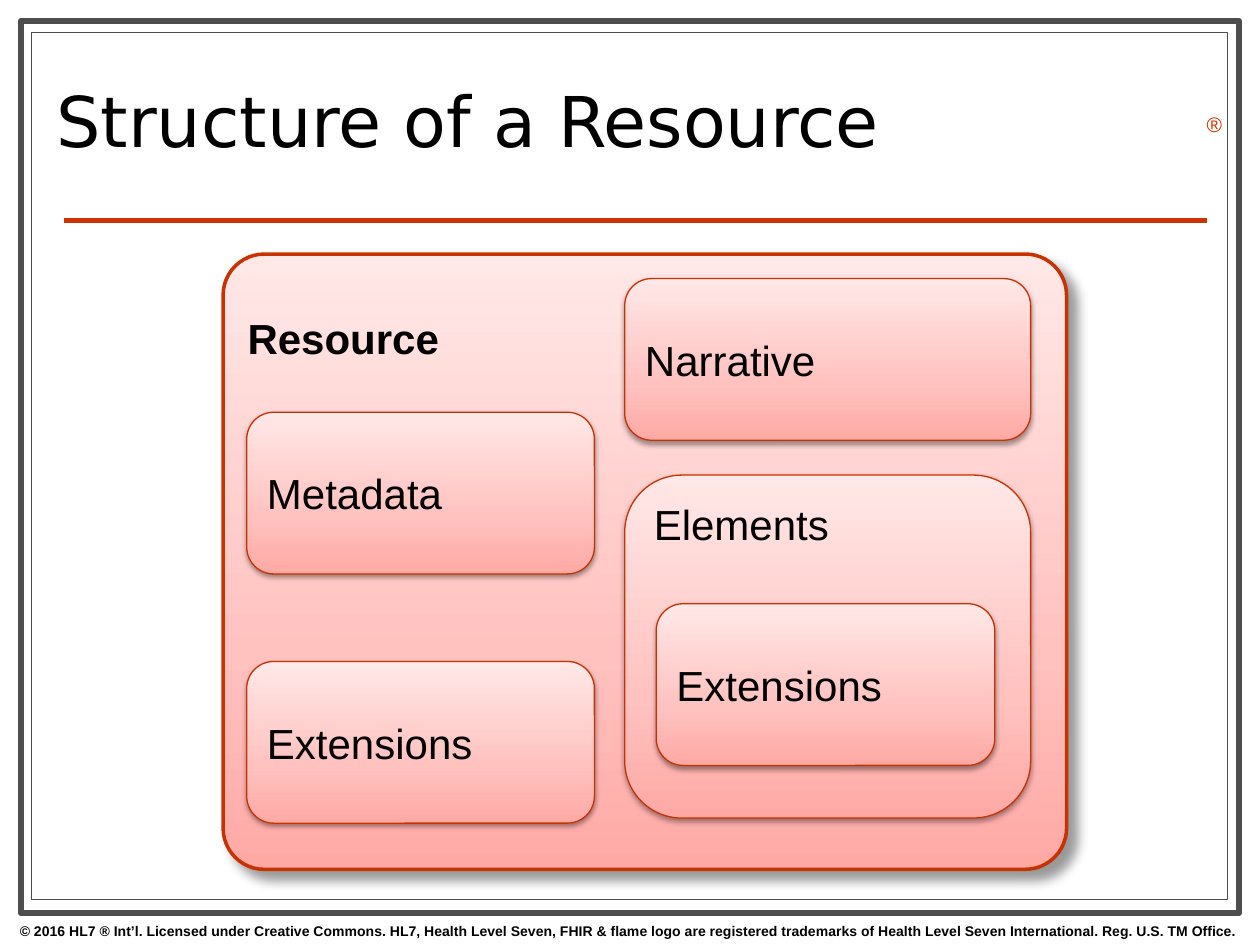
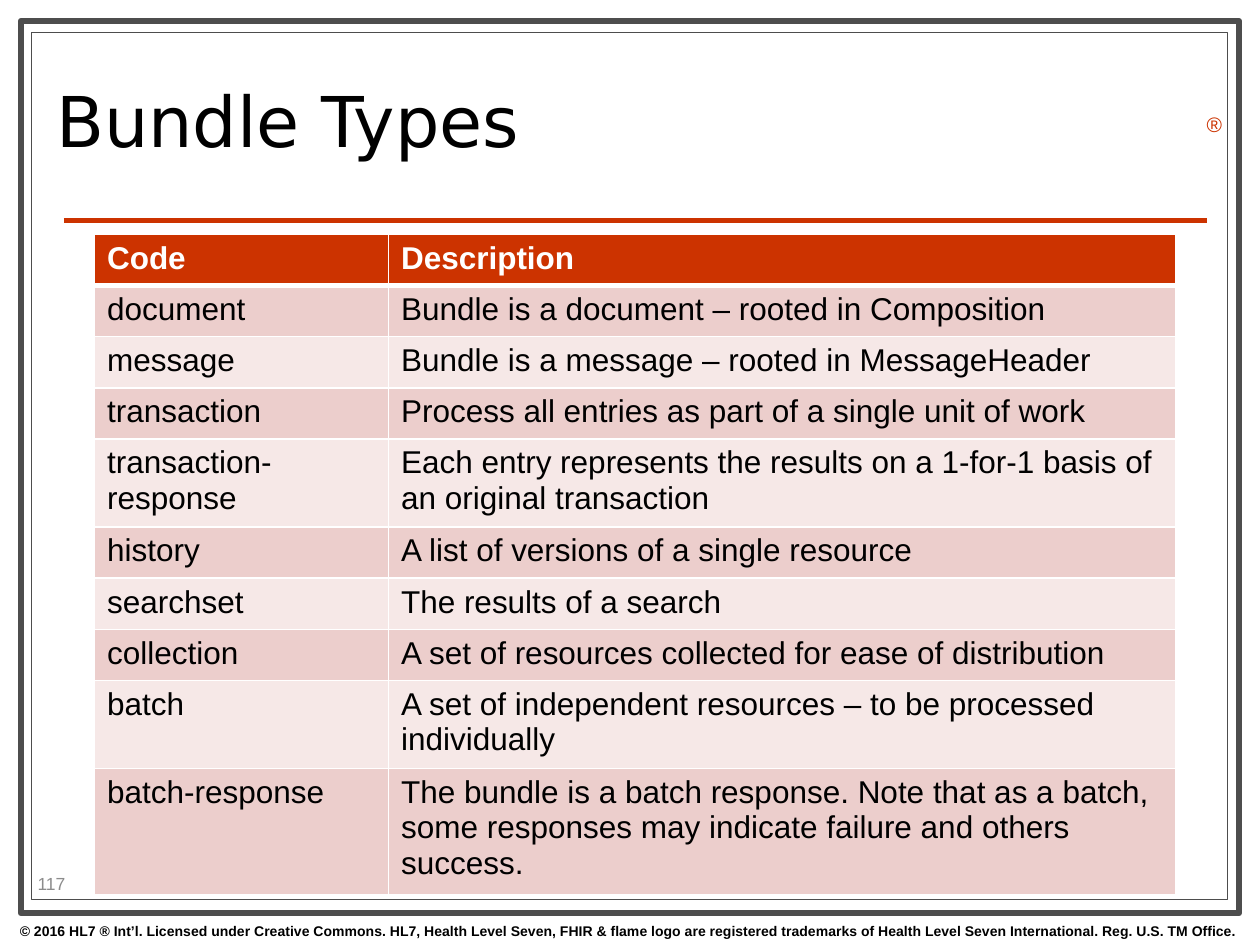
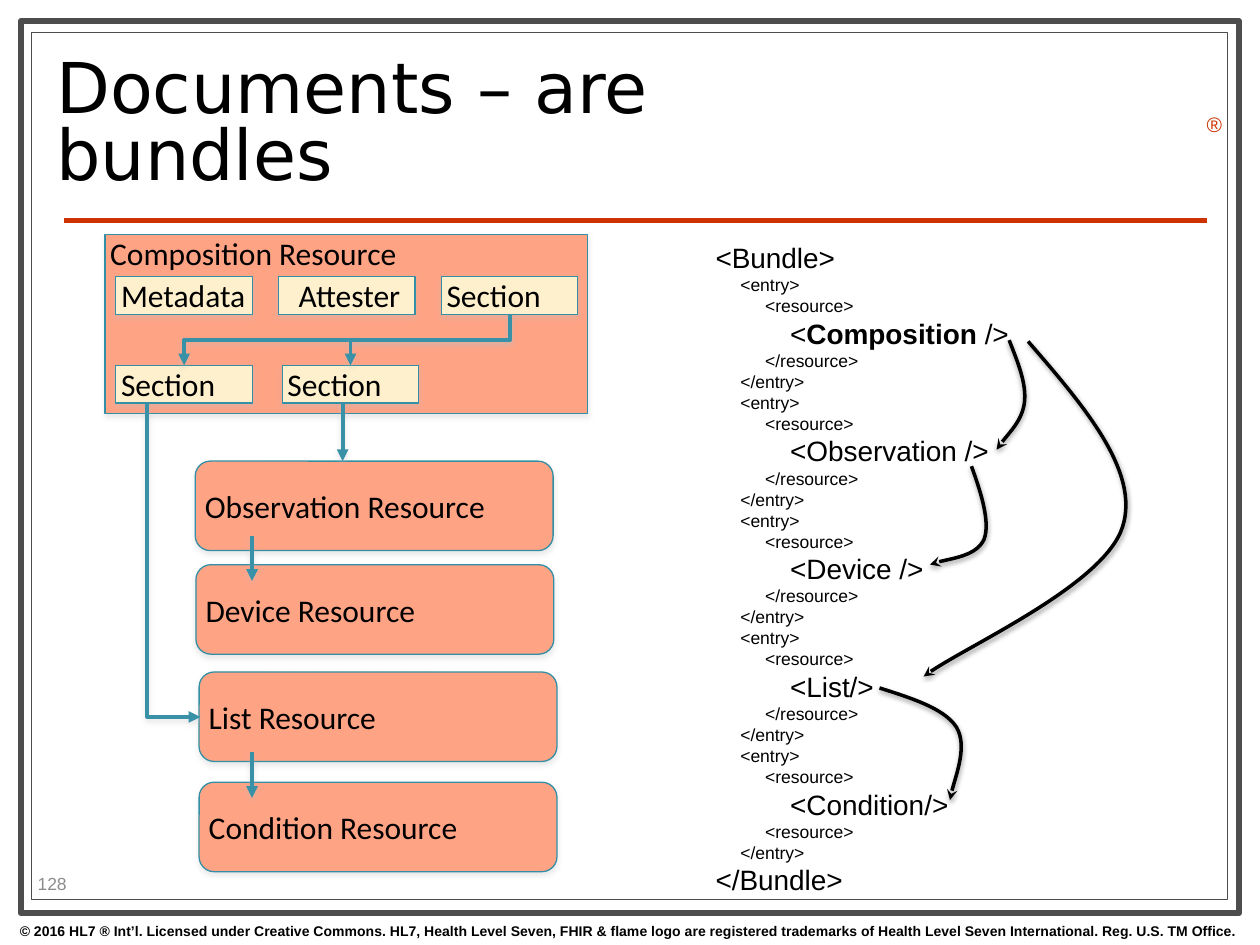
from copy import deepcopy
from dataclasses import dataclass
from typing import NamedTuple

from lxml import etree
from pptx import Presentation
from pptx.dml.color import RGBColor
from pptx.enum.shapes import MSO_CONNECTOR, MSO_SHAPE
from pptx.enum.text import MSO_ANCHOR, PP_ALIGN
from pptx.oxml.ns import qn
from pptx.util import Pt

COLORS = {
    "white": "FFFFFF", "black": "000000", "frame": "4D4D4D", "accent": "CC3300",
    "page": "8C8C8C", "panel_line": "C83200", "band_dark": "ECCECC",
    "band_light": "F6E8E7", "resource": "FFA385", "part": "FEF0CD",
    "box_line": "338FA5", "arrow": "3891A7", "gray": "C0C0C0",
    "pink_deep": "FFA9A5", "pink_mid": "FFC2BF", "pink_pale": "FFE8E7",
}
PANEL_GRADIENT = [(0, "pink_deep"), (0.35, "pink_mid"), (1, "pink_pale")]
COPYRIGHT = ("© 2016 HL7 ® Int’l. Licensed under Creative Commons. HL7, Health Level Seven, "
             "FHIR & flame logo are registered trademarks of Health Level Seven International. "
             "Reg. U.S. TM Office.")


class Area(NamedTuple):
    left: float
    top: float
    width: float
    height: float


class TextStyle(NamedTuple):
    size: float
    font: str = "Arial"
    color: str = "black"
    bold: bool = False


class Shadow(NamedTuple):
    color: str
    alpha: int
    blur: float
    distance: float
    angle: int


class Stroke(NamedTuple):
    color: str
    width: float
    head: str | None = None
    shadow: Shadow | None = None


@dataclass
class Box:
    text: str
    area: Area
    preset: MSO_SHAPE
    fill: str
    stroke: Stroke
    style: TextStyle
    anchor: MSO_ANCHOR = MSO_ANCHOR.TOP
    alignment: PP_ALIGN = PP_ALIGN.LEFT
    insets: tuple = (7.2, 3.6, 7.2, 3.6)
    adjustment: float | None = None


SOFT_SHADOW = Shadow("black", 38, 3.1, 1.6, 90)
ARROW_SHADOW = Shadow("gray", 38, 3, 1.6, 90)
FLOW_ARROW = Stroke("arrow", 2.25, "triangle", ARROW_SHADOW)
REFERENCE_ARROW = Stroke("black", 2, "stealth", SOFT_SHADOW)
PANEL_STROKE = Stroke("panel_line", 0.75, None, SOFT_SHADOW)
BOX_STROKE = Stroke("box_line", 0.75, None, Shadow("gray", 35, 3, 1.8, 90))
PANEL_TEXT = TextStyle(24)
BOX_TEXT = TextStyle(18, "Calibri")


def rgb(name: str) -> RGBColor:
    return RGBColor.from_string(COLORS[name])


def points(values) -> list:
    return [Pt(value) for value in values]


def add_color(parent, name: str):
    return etree.SubElement(parent, qn("a:srgbClr"), val=COLORS[name])


def format_runs(paragraph, style: TextStyle) -> None:
    for run in paragraph.runs:
        run.font.size = Pt(style.size)
        run.font.name = style.font
        run.font.bold = style.bold
        run.font.color.rgb = rgb(style.color)


def apply_stroke(shape, stroke: Stroke) -> None:
    """Set line, arrowhead and shadow; the fill must be set before."""
    shape.line.color.rgb = rgb(stroke.color)
    shape.line.width = Pt(stroke.width)
    properties = shape.element.spPr
    if stroke.head:
        etree.SubElement(properties.find(qn("a:ln")), qn("a:tailEnd"), type=stroke.head)
    effects = etree.SubElement(properties, qn("a:effectLst"))
    if stroke.shadow:
        shadow = stroke.shadow
        outer = etree.SubElement(
            effects, qn("a:outerShdw"), blurRad=str(Pt(shadow.blur)),
            dist=str(Pt(shadow.distance)), dir=str(shadow.angle * 60000), rotWithShape="0")
        etree.SubElement(add_color(outer, shadow.color), qn("a:alpha"),
                         val=str(shadow.alpha * 1000))


def apply_panel_gradient(shape) -> None:
    shape.fill.gradient()
    shape.fill.gradient_angle = 90
    stop_list = shape.element.spPr.find(qn("a:gradFill")).find(qn("a:gsLst"))
    stop_list.append(deepcopy(stop_list[0]))
    for stop, (position, color) in zip(shape.fill.gradient_stops, PANEL_GRADIENT):
        stop.position = position
        stop.color.rgb = rgb(color)


def draw_box(slide, box: Box):
    shape = slide.shapes.add_shape(box.preset, *points(box.area))
    if box.adjustment is not None:
        shape.adjustments[0] = box.adjustment
    if box.fill == "gradient":
        apply_panel_gradient(shape)
    else:
        shape.fill.solid()
        shape.fill.fore_color.rgb = rgb(box.fill)
    apply_stroke(shape, box.stroke)
    frame = shape.text_frame
    frame.text = box.text
    frame.word_wrap = True
    frame.vertical_anchor = box.anchor
    (frame.margin_left, frame.margin_top,
     frame.margin_right, frame.margin_bottom) = points(box.insets)
    frame.paragraphs[0].alignment = box.alignment
    format_runs(frame.paragraphs[0], box.style)
    return shape


def draw_text(slide, text: str, area: Area, style: TextStyle,
              alignment=PP_ALIGN.LEFT, anchor=MSO_ANCHOR.TOP):
    shape = slide.shapes.add_textbox(*points(area))
    frame = shape.text_frame
    frame.text = text
    frame.word_wrap = True
    frame.vertical_anchor = anchor
    frame.paragraphs[0].alignment = alignment
    format_runs(frame.paragraphs[0], style)
    return shape


def draw_line(slide, start: tuple, end: tuple, stroke: Stroke):
    connector = slide.shapes.add_connector(MSO_CONNECTOR.STRAIGHT, *points(start + end))
    apply_stroke(connector, stroke)
    return connector


def draw_drop_elbow(slide, source, target) -> None:
    """Join the bottom of source to the top of target, which lies lower left."""
    connector = slide.shapes.add_connector(MSO_CONNECTOR.ELBOW, 0, 0, 0, 0)
    connector.begin_connect(source, 2)
    connector.end_connect(target, 0)
    begin_x, begin_y = source.left + source.width // 2, source.top + source.height
    end_x, end_y = target.left + target.width // 2, target.top
    across, drop = begin_x - end_x, end_y - begin_y
    transform = connector.element.spPr.find(qn("a:xfrm"))
    transform.attrib.pop("flipH", None)
    transform.set("rot", str(90 * 60000))
    connector.left = (begin_x + end_x - drop) // 2
    connector.top = (begin_y + end_y - across) // 2
    connector.width, connector.height = drop, across
    apply_stroke(connector, FLOW_ARROW)


def draw_route(slide, route: list, stroke: Stroke, curved: bool = False) -> None:
    """Draw an open path; a curved one reads its points as cubic Bézier triples."""
    start, *rest = [tuple(points(point)) for point in route]
    builder = slide.shapes.build_freeform(*start)
    builder.add_line_segments(rest, close=False)
    shape = builder.convert_to_shape()
    if curved:
        outline = next(shape.element.spPr.iter(qn("a:path")))
        segments = outline.findall(qn("a:lnTo"))
        for first in range(0, len(segments), 3):
            curve = etree.SubElement(outline, qn("a:cubicBezTo"))
            for segment in segments[first:first + 3]:
                curve.append(segment[0])
                outline.remove(segment)
    shape.fill.background()
    apply_stroke(shape, stroke)


def furnish_layout(layout, slide) -> None:
    """Draw the shared frame, rule and footer, and move them to the layout."""
    for placeholder in list(layout.placeholders)[1:]:
        layout.shapes.element.remove(placeholder.element)
    furniture = [
        draw_box(slide, Box("", area, MSO_SHAPE.RECTANGLE, "white",
                            Stroke("frame", width), TextStyle(12)))
        for area, width in [(Area(12, 12, 696, 510), 3.5),
                            (Area(18, 18.5, 683.5, 495.5), 0.75)]]
    furniture += [
        draw_line(slide, (36.5, 126), (690, 126), Stroke("accent", 3)),
        draw_text(slide, COPYRIGHT, Area(-0.5, 523.5, 720, 16.5),
                  TextStyle(8, bold=True), PP_ALIGN.CENTER),
        draw_text(slide, "®", Area(682.5, 60, 22.5, 21.5), TextStyle(12, color="accent")),
    ]
    for shape in furniture:
        layout.shapes.element.append(shape.element)


def add_titled_slide(presentation, title: str, page: str = ""):
    slide = presentation.slides.add_slide(presentation.slide_layouts[5])
    shape = slide.shapes.title
    shape.left, shape.top, shape.width, shape.height = points(Area(25, 26, 516, 93))
    frame = shape.text_frame
    frame.text = title
    frame.word_wrap = True
    frame.vertical_anchor = MSO_ANCHOR.MIDDLE
    frame.paragraphs[0].alignment = PP_ALIGN.LEFT
    frame.paragraphs[0].line_spacing = 0.8
    format_runs(frame.paragraphs[0], TextStyle(40, "DejaVu Sans"))
    if page:
        draw_text(slide, page, Area(14.4, 496, 57, 17.3), TextStyle(10, color="page"),
                  anchor=MSO_ANCHOR.MIDDLE)
    return slide


def build_structure_slide(presentation) -> None:
    slide = add_titled_slide(presentation, "Structure of a Resource")
    furnish_layout(slide.slide_layout, slide)
    draw_box(slide, Box("Resource", Area(127.5, 145.2, 482, 351.6), MSO_SHAPE.ROUNDED_RECTANGLE,
                        "gradient", Stroke("panel_line", 2, None, Shadow("black", 40, 6, 7, 45)),
                        TextStyle(24, bold=True), insets=(7.2, 26.5, 7.2, 3.6),
                        adjustment=0.067))
    middle, top = MSO_ANCHOR.MIDDLE, MSO_ANCHOR.TOP
    for text, area, anchor in [
        ("Narrative", Area(357, 159.2, 232, 92.4), middle),
        ("Elements", Area(357, 271.5, 232, 196), top),
        ("Extensions", Area(375, 345, 193.5, 92.4), middle),
        ("Extensions", Area(141, 378, 198.7, 92.4), middle),
        ("Metadata", Area(141, 235.6, 198.7, 92.4), middle),
    ]:
        draw_box(slide, Box(text, area, MSO_SHAPE.ROUNDED_RECTANGLE, "gradient",
                            PANEL_STROKE, PANEL_TEXT, anchor))


BUNDLE_TYPES = [
    ("Code", "Description"),
    ("document", "Bundle is a document – rooted in Composition"),
    ("message", "Bundle is a message – rooted in MessageHeader"),
    ("transaction", "Process all entries as part of a single unit of work"),
    ("transaction-response",
     "Each entry represents the results on a 1-for-1 basis of an original transaction"),
    ("history", "A list of versions of a single resource"),
    ("searchset", "The results of a search"),
    ("collection", "A set of resources collected for ease of distribution"),
    ("batch", "A set of independent resources – to be processed individually"),
    ("batch-response", "The bundle is a batch response. Note that as a batch, some responses "
                       "may indicate failure and others success."),
]


def add_cell_borders(cell, is_header: bool, below_header: bool) -> None:
    properties = cell._tc.get_or_add_tcPr()
    for side in "LRTB":
        thick = (is_header and side == "B") or (below_header and side == "T")
        border = etree.SubElement(properties, qn(f"a:ln{side}"), w=str(Pt(3 if thick else 1)))
        add_color(etree.SubElement(border, qn("a:solidFill")), "white")


def build_bundle_types_slide(presentation) -> None:
    slide = add_titled_slide(presentation, "Bundle Types", "117")
    row_height = 29.2
    table = slide.shapes.add_table(
        len(BUNDLE_TYPES), 2,
        *points(Area(54, 134, 618, row_height * len(BUNDLE_TYPES)))).table
    table.horz_banding = False
    for column, width in zip(table.columns, (168, 450)):
        column.width = Pt(width)
    for row_index, texts in enumerate(BUNDLE_TYPES):
        table.rows[row_index].height = Pt(row_height)
        is_header = row_index == 0
        fill = "accent" if is_header else ("band_light", "band_dark")[row_index % 2]
        style = TextStyle(18, color="white" if is_header else "black", bold=is_header)
        for column_index, text in enumerate(texts):
            cell = table.cell(row_index, column_index)
            add_cell_borders(cell, is_header, row_index == 1)
            cell.fill.solid()
            cell.fill.fore_color.rgb = rgb(fill)
            cell.text_frame.text = text
            format_runs(cell.text_frame.paragraphs[0], style)


ENTRIES = [
    ("<Composition />", "</resource>"),
    ("<Observation />", "</resource>"),
    ("<Device />", "</resource>"),
    ("<List/>", "</resource>"),
    ("<Condition/>", "<resource>"),
]
REFERENCES = [
    [(576.7, 194.4), (581.8, 207.4), (586.8, 219.6), (585.4, 230.4),
     (583.9, 240.5), (572.4, 252), (569.5, 257)],
    [(587.5, 195.1), (619.2, 231.8), (651.6, 269.3), (641.5, 301),
     (631.4, 333.4), (545.8, 372.2), (527.8, 386.6)],
    [(502.6, 393.1), (520.6, 398.9), (539.3, 404.6), (546.5, 415.4),
     (553, 426.2), (542.9, 452.9), (542.9, 457.2)],
    [(555.1, 266.4), (560.9, 282.2), (565.9, 298.8), (562.3, 308.2),
     (558, 317.5), (536.4, 320.4), (531.4, 322.6)],
]


def draw_bundle_code(slide) -> None:
    lines = [(0, "<Bundle>")]
    for tag, closing in ENTRIES:
        lines += [(1, "<entry>"), (2, "<resource>"), (3, tag), (2, closing), (1, "</entry>")]
    lines.append((0, "</Bundle>"))
    tab_width = 14.2
    frame = slide.shapes.add_textbox(*points(Area(401.8, 134, 186, 350.6))).text_frame
    frame.word_wrap = True
    for index, (level, text) in enumerate(lines):
        paragraph = frame.paragraphs[0] if index == 0 else frame.add_paragraph()
        tabs = etree.SubElement(paragraph._p.get_or_add_pPr(), qn("a:tabLst"))
        for stop in range(1, 5):
            etree.SubElement(tabs, qn("a:tab"), pos=str(Pt(stop * tab_width)), algn="l")
        for part in filter(None, ("\t" * level + text).partition("Composition")):
            paragraph.add_run().text = part
        format_runs(paragraph, TextStyle(16 if level in (0, 3) else 10))
        for run in paragraph.runs:
            run.font.bold = run.text == "Composition"


def build_documents_slide(presentation) -> None:
    slide = add_titled_slide(presentation, "Documents – are bundles", "128")
    insets = (3, 0, 0, 0)
    draw_box(slide, Box("Composition Resource", Area(60, 134, 275.8, 102.2),
                        MSO_SHAPE.RECTANGLE, "resource", BOX_STROKE, BOX_TEXT, insets=insets))
    for text, left, top in [
        ("Observation Resource", 111.6, 263.5),
        ("Device Resource", 112, 322.7),
        ("List Resource", 113.8, 384),
        ("Condition Resource", 113.8, 447),
    ]:
        draw_box(slide, Box(text, Area(left, top, 204.5, 51.1), MSO_SHAPE.ROUNDED_RECTANGLE,
                            "resource", BOX_STROKE, BOX_TEXT, MSO_ANCHOR.MIDDLE, insets=insets))
    parts = []
    for text, left, top in [
        ("Metadata", 66.2, 158), ("Attester", 159.2, 158), ("Section", 252.2, 158),
        ("Section", 66.2, 208.8), ("Section", 161.3, 208.8),
    ]:
        alignment = PP_ALIGN.CENTER if text == "Attester" else PP_ALIGN.LEFT
        parts.append(draw_box(slide, Box(text, Area(left, top, 78, 21.6), MSO_SHAPE.RECTANGLE,
                                         "part", BOX_STROKE, BOX_TEXT, alignment=alignment,
                                         insets=insets)))
    parent_section, *child_sections = parts[2:]
    for section in child_sections:
        draw_drop_elbow(slide, parent_section, section)
    draw_route(slide, [(84.2, 230.4), (84.2, 409.7), (114.5, 409.7)], FLOW_ARROW)
    for left, top, bottom in [(195.8, 230, 263.5), (144, 306, 332), (144, 430, 456)]:
        draw_line(slide, (left, top), (left, bottom), FLOW_ARROW)
    draw_bundle_code(slide)
    for route in REFERENCES:
        draw_route(slide, route, REFERENCE_ARROW, curved=True)


def main() -> None:
    presentation = Presentation()
    presentation.slide_width, presentation.slide_height = Pt(720), Pt(540)
    build_structure_slide(presentation)
    build_bundle_types_slide(presentation)
    build_documents_slide(presentation)
    presentation.save("out.pptx")


if __name__ == "__main__":
    main()
